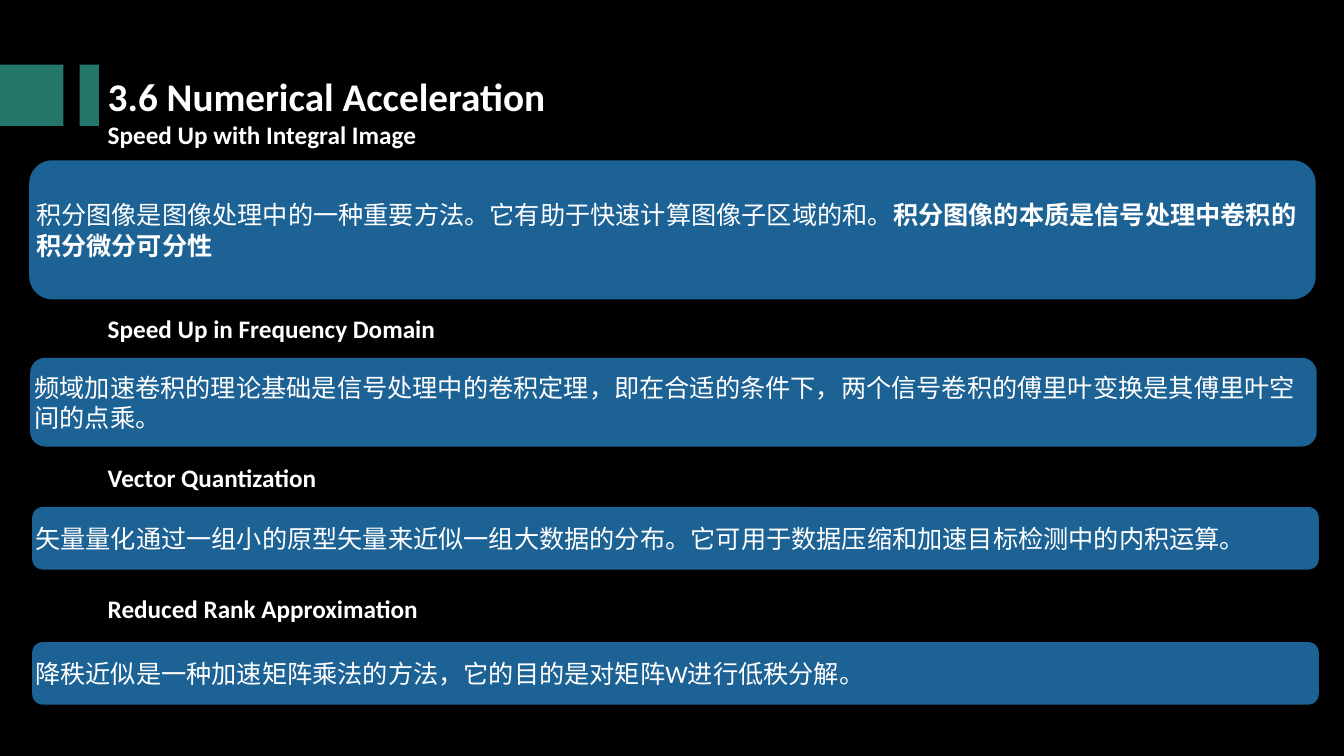
from pptx import Presentation
from pptx.dml.color import RGBColor
from pptx.enum.shapes import MSO_SHAPE
from pptx.enum.text import MSO_ANCHOR, PP_ALIGN
from pptx.util import Inches, Pt

RECT, ROUNDED = MSO_SHAPE.RECTANGLE, MSO_SHAPE.ROUNDED_RECTANGLE
MIDDLE, LEFT = MSO_ANCHOR.MIDDLE, PP_ALIGN.LEFT
COLORS = {"background": "000000", "accent": "237669", "panel": "1D6294", "text": "FFFFFF"}


def add_block(kind, left, top, width, height, color):
    sp = s.shapes.add_shape(kind, Inches(left), Inches(top), Inches(width), Inches(height))
    sp.shadow.inherit = False
    sp.fill.solid()
    sp.fill.fore_color.rgb = RGBColor.from_string(COLORS[color])
    sp.line.fill.background()
    return sp


def add_run(p, text, size=18, bold=False):
    r = p.add_run()
    r.text = text
    for name, value in {"name": "Calibri", "size": Pt(size), "bold": bold}.items():
        setattr(r.font, name, value)
    r.font.color.rgb = RGBColor.from_string(COLORS["text"])


prs = Presentation()
prs.slide_width, prs.slide_height = Inches(13.33), Inches(7.5)
s = prs.slides.add_slide(prs.slide_layouts[6])
s.background.fill.solid()
s.background.fill.fore_color.rgb = RGBColor.from_string(COLORS["background"])

for left, width in [(0, 0.63), (0.79, 0.19)]:
    add_block(RECT, left, 0.64, width, 0.61, "accent")

headings = [
    (0.67, 1.38, [("3.6 Numerical Acceleration", 28), ("Speed Up with Integral Image", 18)]),
    (3.06, 0.4, [("Speed Up in Frequency Domain", 18)]),
    (4.54, 0.4, [("Vector Quantization", 18)]),
    (5.84, 0.4, [("Reduced Rank Approximation", 18)]),
]
for top, height, lines in headings:
    tf = s.shapes.add_textbox(Inches(0.97), Inches(top), Inches(7.88), Inches(height)).text_frame
    tf.word_wrap = True
    for i, (text, size) in enumerate(lines):
        p = tf.add_paragraph() if i else tf.paragraphs[0]
        add_run(p, text, size, True)

panels = [
    (0.29, 1.59, 1.38, [
        ("积分图像是图像处理中的一种重要方法。它有助于快速计算图像子区域的和。", False),
        ("积分图像的本质是信号处理中卷积的积分微分可分性", True),
    ]),
    (0.3, 3.55, 0.88, [
        ("频域加速卷积的理论基础是信号处理中的卷积定理，即在合适的条件下，"
         "两个信号卷积的傅里叶变换是其傅里叶空间的点乘。", False),
    ]),
    (0.32, 5.03, 0.62, [
        ("矢量量化通过一组小的原型矢量来近似一组大数据的分布。"
         "它可用于数据压缩和加速目标检测中的内积运算。", False),
    ]),
    (0.32, 6.37, 0.62, [
        ("降秩近似是一种加速矩阵乘法的方法，它的目的是对矩阵W进行低秩分解。", False),
    ]),
]
for left, top, height, runs in panels:
    tf = add_block(ROUNDED, left, top, 12.76, height, "panel").text_frame
    frame = {"word_wrap": True, "vertical_anchor": MIDDLE, "margin_left": 0, "margin_right": 0}
    for name, value in frame.items():
        setattr(tf, name, value)
    p = tf.paragraphs[0]
    p.alignment = LEFT
    for text, bold in runs:
        add_run(p, text, bold=bold)

prs.save("out.pptx")
